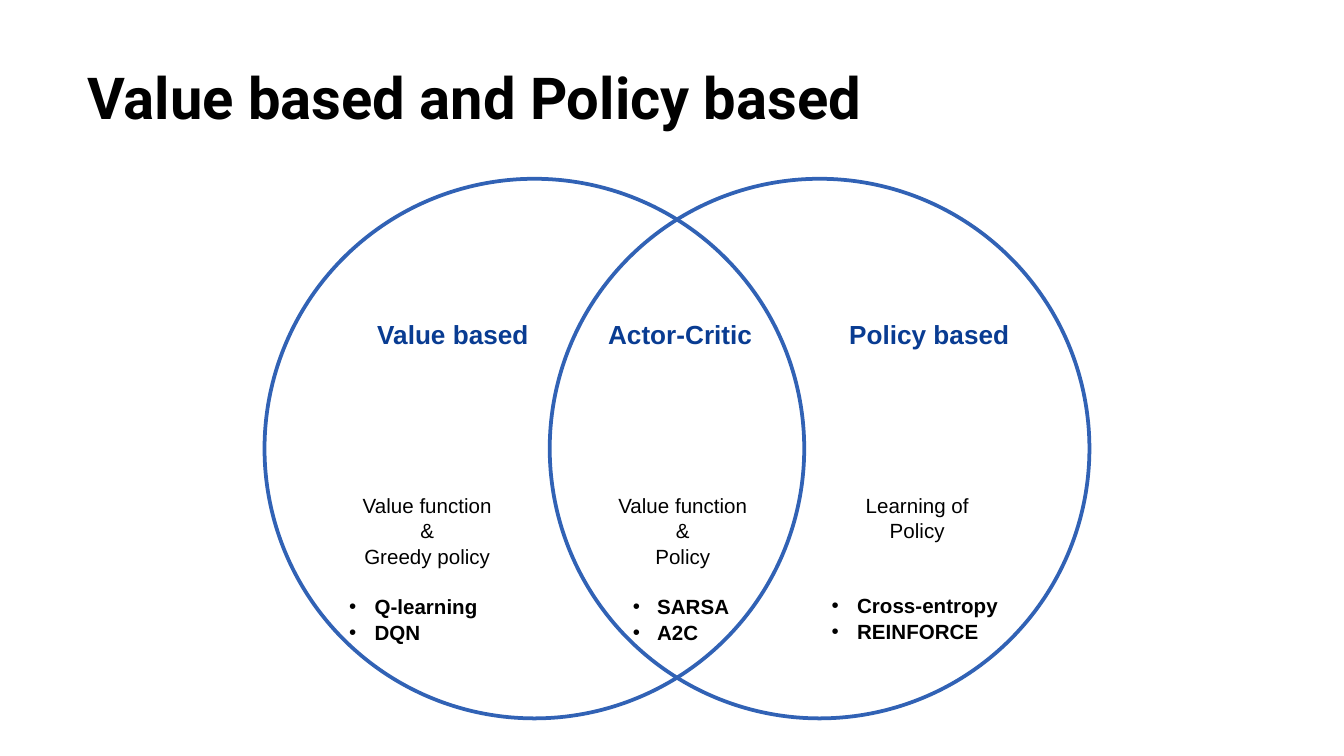
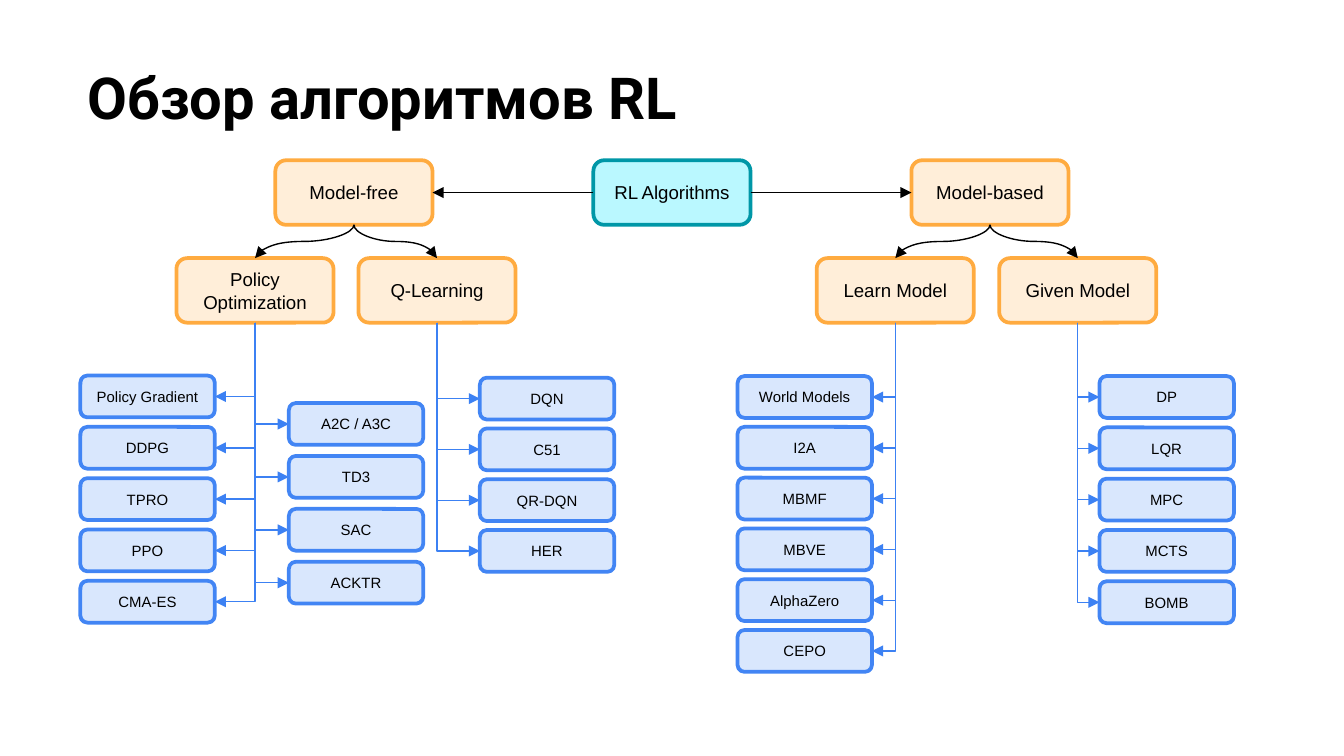
from lxml import etree
from pptx import Presentation
from pptx.dml.color import RGBColor
from pptx.enum import shapes, text
from pptx.oxml import ns
from pptx.util import Cm, Pt

COLORS = {
    "ink": "000000",
    "circle": "3162B5",
    "heading": "093C92",
    "root_fill": "BAF8FF", "root_line": "0097A7",
    "branch_fill": "FFEED9", "branch_line": "FFAB40",
    "leaf_fill": "D9E7FD", "leaf_line": "4285F4",
    "leaf_arrow": "3C81F3",
}
BODY_FONT, TITLE_FONT = "Arial", "Roboto"
LINE_PITCH = 13.2  # points between lines of the 11 pt descriptions

# Tree measures in cm
NODE_W, NODE_H = 2.97, 1.22
LEAF_W, LEAF_H = 2.54, 0.79
ROOT_X, ROOT_Y = 12.7, 3.03
BRANCH_SHIFT, GROUP_Y = 6.01, 4.88


def color(name):
    return RGBColor.from_string(COLORS[name])


def add_run(paragraph, words, size, ink="ink", bold=False, font=BODY_FONT):
    run = paragraph.add_run()
    run.text = words
    run.font.name = font
    run.font.size = Pt(size)
    run.font.bold = bold
    run.font.color.rgb = color(ink)


def add_slide(presentation, title):
    slide = presentation.slides.add_slide(presentation.slide_layouts[5])
    shape = slide.shapes.title
    shape.left, shape.top, shape.width, shape.height = Cm(1.4), Cm(0.91), Cm(23.67), Cm(3.05)
    frame = shape.text_frame
    frame.margin_left = frame.margin_right = frame.margin_top = frame.margin_bottom = Cm(0.25)
    frame.vertical_anchor = text.MSO_ANCHOR.TOP
    frame.auto_size = text.MSO_AUTO_SIZE.NONE
    paragraph = frame.paragraphs[0]
    paragraph.alignment = text.PP_ALIGN.LEFT
    add_run(paragraph, title, 31, bold=True, font=TITLE_FONT)
    return slide


# Venn diagram

def add_circle(slide, left):
    shape = slide.shapes.add_shape(shapes.MSO_SHAPE.OVAL, Cm(left), Cm(3.38), Cm(10.2), Cm(10.2))
    shape.shadow.inherit = False
    shape.fill.background()
    shape.line.color.rgb = color("circle")
    shape.line.width = Pt(2)


def add_text_box(slide, left, top, width, height, wrap=True):
    frame = slide.shapes.add_textbox(Cm(left), Cm(top), Cm(width), Cm(height)).text_frame
    frame.word_wrap = wrap
    frame.auto_size = text.MSO_AUTO_SIZE.SHAPE_TO_FIT_TEXT
    return frame


def add_heading(slide, words, left, width, align):
    frame = add_text_box(slide, left, 5.89, width, 0.86, wrap=False)
    frame.paragraphs[0].alignment = align
    add_run(frame.paragraphs[0], words, 14, "heading", bold=True)


def add_bullet(paragraph, margin, hanging):
    properties = paragraph._p.get_or_add_pPr()
    properties.set("marL", str(Cm(margin)))
    properties.set("indent", str(-Cm(hanging)))
    bullet_color = etree.SubElement(properties, ns.qn("a:buClr"))
    etree.SubElement(bullet_color, ns.qn("a:srgbClr"), val=COLORS["ink"])
    etree.SubElement(properties, ns.qn("a:buFont"), typeface=BODY_FONT)
    etree.SubElement(properties, ns.qn("a:buChar"), char="•")


def add_description(slide, left, width, lines, methods, margin, hanging):
    frame = add_text_box(slide, left, 9.17, width, 3.07)
    for index, words in enumerate(lines + methods):
        paragraph = frame.paragraphs[0] if index == 0 else frame.add_paragraph()
        is_method = index >= len(lines)
        if is_method:
            add_bullet(paragraph, margin, hanging)
        else:
            paragraph.alignment = text.PP_ALIGN.CENTER
        paragraph.line_spacing = 1.04
        if index == len(lines):  # all lists start on the fifth line
            paragraph.space_before = Pt(LINE_PITCH * (4 - len(lines)))
        add_run(paragraph, words, 11, bold=is_method)


def build_venn(presentation):
    slide = add_slide(presentation, "Value based and Policy based")
    for left in (5.0, 10.39):
        add_circle(slide, left)

    add_heading(slide, "Value based", 6.88, 3.4, text.PP_ALIGN.LEFT)
    add_heading(slide, "Actor-Critic", 11.13, 3.45, text.PP_ALIGN.CENTER)
    add_heading(slide, "Policy based", 15.8, 3.56, text.PP_ALIGN.LEFT)

    add_description(slide, 6.35, 3.45, ["Value function", "&", "Greedy policy"],
                    ["Q-learning", "DQN"], 0.48, 0.48)
    add_description(slide, 11.18, 3.45, ["Value function", "&", "Policy"],
                    ["SARSA", "A2C"], 0.99, 0.46)
    add_description(slide, 15.47, 3.73, ["Learning of", "Policy"],
                    ["Cross-entropy", "REINFORCE"], 0.48, 0.48)


# Algorithm tree

def add_box(slide, words, left, top, width, height, role, size):
    shape = slide.shapes.add_shape(shapes.MSO_SHAPE.ROUNDED_RECTANGLE,
                                   Cm(left), Cm(top), Cm(width), Cm(height))
    shape.shadow.inherit = False
    shape.fill.solid()
    shape.fill.fore_color.rgb = color(role + "_fill")
    shape.line.color.rgb = color(role + "_line")
    shape.line.width = Pt(2)
    frame = shape.text_frame
    frame.word_wrap = True
    frame.vertical_anchor = text.MSO_ANCHOR.MIDDLE
    frame.paragraphs[0].alignment = text.PP_ALIGN.CENTER
    add_run(frame.paragraphs[0], words, size)


def add_node(slide, words, center, top, role="branch"):
    add_box(slide, words, center - NODE_W / 2, top, NODE_W, NODE_H, role, 10)


def add_arrow(slide, kind, x1, y1, x2, y2, ink="ink"):
    connector = slide.shapes.add_connector(kind, Cm(x1), Cm(y1), Cm(x2), Cm(y2))
    connector.line.color.rgb = color(ink)
    connector.line.width = Pt(0.75)
    etree.SubElement(connector.line._get_or_add_ln(), ns.qn("a:tailEnd"), type="triangle")
    etree.SubElement(connector._element.spPr, ns.qn("a:effectLst"))
    return connector


def add_downward_arrow(slide, preset, x1, y1, x2, y2, ink="ink"):
    """Turn a connector by a quarter so that it leaves its start vertically."""
    middle_x, middle_y = (x1 + x2) / 2, (y1 + y2) / 2
    half_w, half_h = (y2 - y1) / 2, abs(x2 - x1) / 2
    side = 1 if x2 > x1 else -1
    connector = add_arrow(slide, shapes.MSO_CONNECTOR.ELBOW,
                          middle_x + side * half_w, middle_y - half_h,
                          middle_x - side * half_w, middle_y + half_h, ink)
    properties = connector._element.spPr
    degrees = 270 if side > 0 else 90
    properties.find(ns.qn("a:xfrm")).set("rot", str(degrees * 60000))
    properties.find(ns.qn("a:prstGeom")).set("prst", preset)


def add_leaves(slide, trunk, left, top, pitch, names):
    edge = left if left > trunk else left + LEAF_W
    for index, name in enumerate(names):
        leaf_top = top + index * pitch
        add_downward_arrow(slide, "bentConnector2", trunk, GROUP_Y + NODE_H,
                           edge, leaf_top + LEAF_H / 2, "leaf_arrow")
        add_box(slide, name, left, leaf_top, LEAF_W, LEAF_H, "leaf", 8)


def build_tree(presentation):
    slide = add_slide(presentation, "Обзор алгоритмов RL")
    add_node(slide, "RL Algorithms", ROOT_X, ROOT_Y, "root")

    # Branch: side, groups; group: name, center, leaf columns (left, top, pitch, names)
    branches = [
        ("Model-free", -1, [
            ("Policy Optimization", 4.82, [
                (1.52, 7.1, 0.97, ["Policy Gradient", "DDPG", "TPRO", "PPO", "CMA-ES"]),
                (5.46, 7.62, 1.0, ["A2C / A3C", "TD3", "SAC", "ACKTR"]),
            ]),
            ("Q-Learning", 8.26, [(9.07, 7.14, 0.96, ["DQN", "C51", "QR-DQN", "HER"])]),
        ]),
        ("Model-based", 1, [
            ("Learn Model", 16.92, [
                (13.94, 7.11, 0.96,
                 ["World Models", "I2A", "MBMF", "MBVE", "AlphaZero", "CEPO"]),
            ]),
            ("Given Model", 20.37, [
                (20.78, 7.11, 0.97, ["DP", "LQR", "MPC", "MCTS", "BOMB"]),
            ]),
        ]),
    ]
    for branch, side, groups in branches:
        branch_x = ROOT_X + side * BRANCH_SHIFT
        add_node(slide, branch, branch_x, ROOT_Y)
        middle = ROOT_Y + NODE_H / 2
        add_arrow(slide, shapes.MSO_CONNECTOR.STRAIGHT, ROOT_X + side * NODE_W / 2, middle,
                  branch_x - side * NODE_W / 2, middle)
        for group, center, columns in groups:
            add_node(slide, group, center, GROUP_Y)
            add_downward_arrow(slide, "curvedConnector3", branch_x, ROOT_Y + NODE_H,
                               center, GROUP_Y)
            for column in columns:
                add_leaves(slide, center, *column)


def main():
    presentation = Presentation()
    presentation.slide_width, presentation.slide_height = Cm(25.4), Cm(14.29)
    build_venn(presentation)
    build_tree(presentation)
    presentation.save("out.pptx")


if __name__ == "__main__":
    main()
